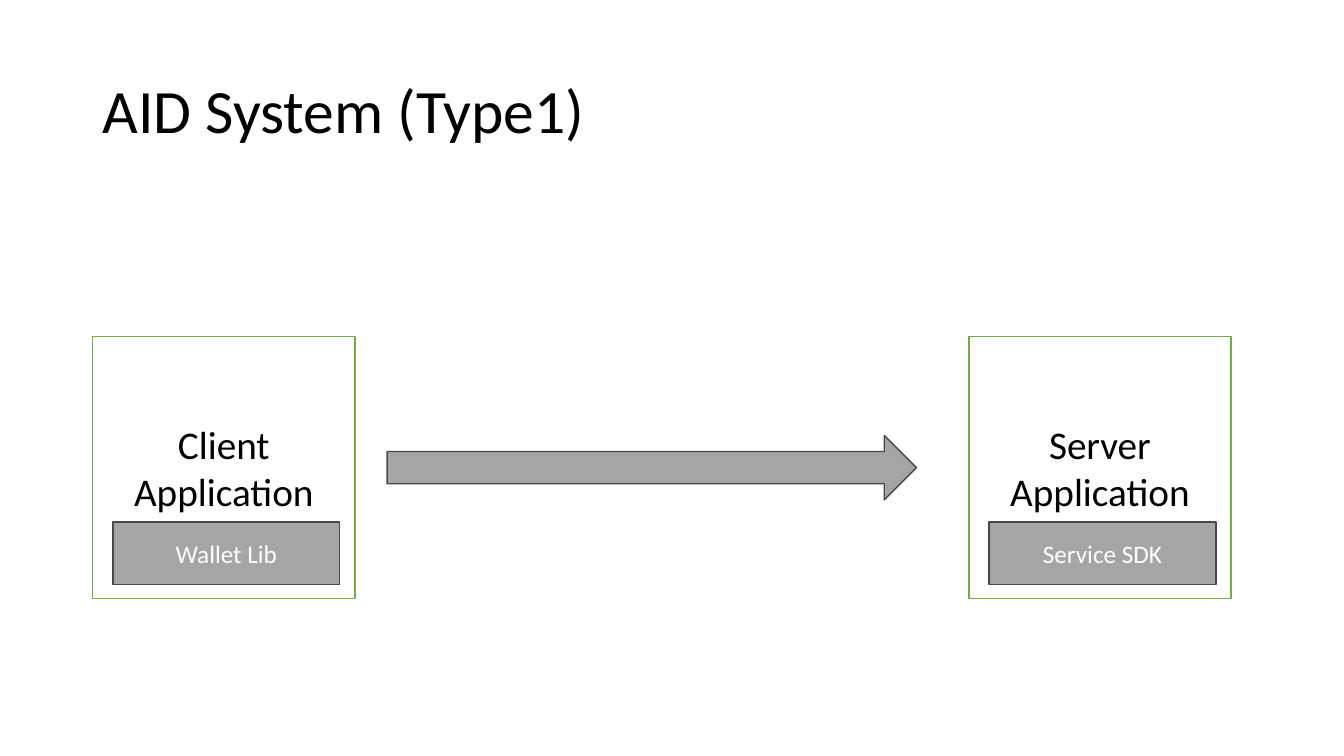
from dataclasses import dataclass

from pptx import Presentation
from pptx.dml.color import RGBColor
from pptx.enum.shapes import MSO_SHAPE
from pptx.enum.text import MSO_ANCHOR, PP_ALIGN
from pptx.util import Emu, Pt

PX = 9144  # 100 px to the inch


@dataclass(frozen=True)
class Theme:
    font: str = "Calibri"
    ink: str = "000000"
    paper: str = "FFFFFF"
    green: str = "70AD47"
    grey: str = "A5A5A5"
    grey_edge: str = "484848"
    title_size: int = 44
    app_size: int = 28
    module_size: int = 18
    line: int = 1


THEME = Theme()


def rgb(color):
    return RGBColor.from_string(color)


def emu(box):
    return [Emu(v * PX) for v in box]


def write(sp, text, size, color, align):
    tf = sp.text_frame
    tf.word_wrap = True
    tf.vertical_anchor = MSO_ANCHOR.MIDDLE
    p = tf.paragraphs[0]
    p.text = text
    p.alignment = align
    p.font.name = THEME.font
    p.font.size = Pt(size)
    p.font.color.rgb = rgb(color)
    return p


def add_block(slide, kind, box, fill, line):
    sp = slide.shapes.add_shape(kind, *emu(box))
    sp.shadow.inherit = False
    sp.fill.solid()
    sp.fill.fore_color.rgb = rgb(fill)
    sp.line.color.rgb = rgb(line)
    sp.line.width = Pt(THEME.line)
    return sp


def add_title(slide, box, text):
    sp = slide.shapes.add_textbox(*emu(box))
    p = write(sp, text, THEME.title_size, THEME.ink, PP_ALIGN.LEFT)
    p.line_spacing = 0.9


def add_request_arrow(slide, box):
    add_block(slide, MSO_SHAPE.RIGHT_ARROW, box, THEME.grey, THEME.grey_edge)


def add_application(slide, box, name, module):
    x, y, w, h = box
    # Application frame
    sp = add_block(slide, MSO_SHAPE.RECTANGLE, box, THEME.paper, THEME.green)
    write(sp, name, THEME.app_size, THEME.ink, PP_ALIGN.CENTER)
    # Embedded module along the bottom
    module_box = (x + 20, y + h - 76, w - 35, 62)
    sp = add_block(slide, MSO_SHAPE.RECTANGLE, module_box, THEME.grey, THEME.grey_edge)
    write(sp, module, THEME.module_size, THEME.paper, PP_ALIGN.CENTER)


def main():
    prs = Presentation()
    prs.slide_width, prs.slide_height = emu((1333, 750))
    slide = prs.slides.add_slide(prs.slide_layouts[6])

    add_title(slide, (92, 40, 1150, 145), "AID System (Type1)")
    add_request_arrow(slide, (384, 432, 525, 64))
    add_application(slide, (92, 334, 260, 260), "Client Application", "Wallet Lib")
    add_application(slide, (961, 334, 260, 260), "Server Application", "Service SDK")

    prs.save("out.pptx")


if __name__ == "__main__":
    main()
